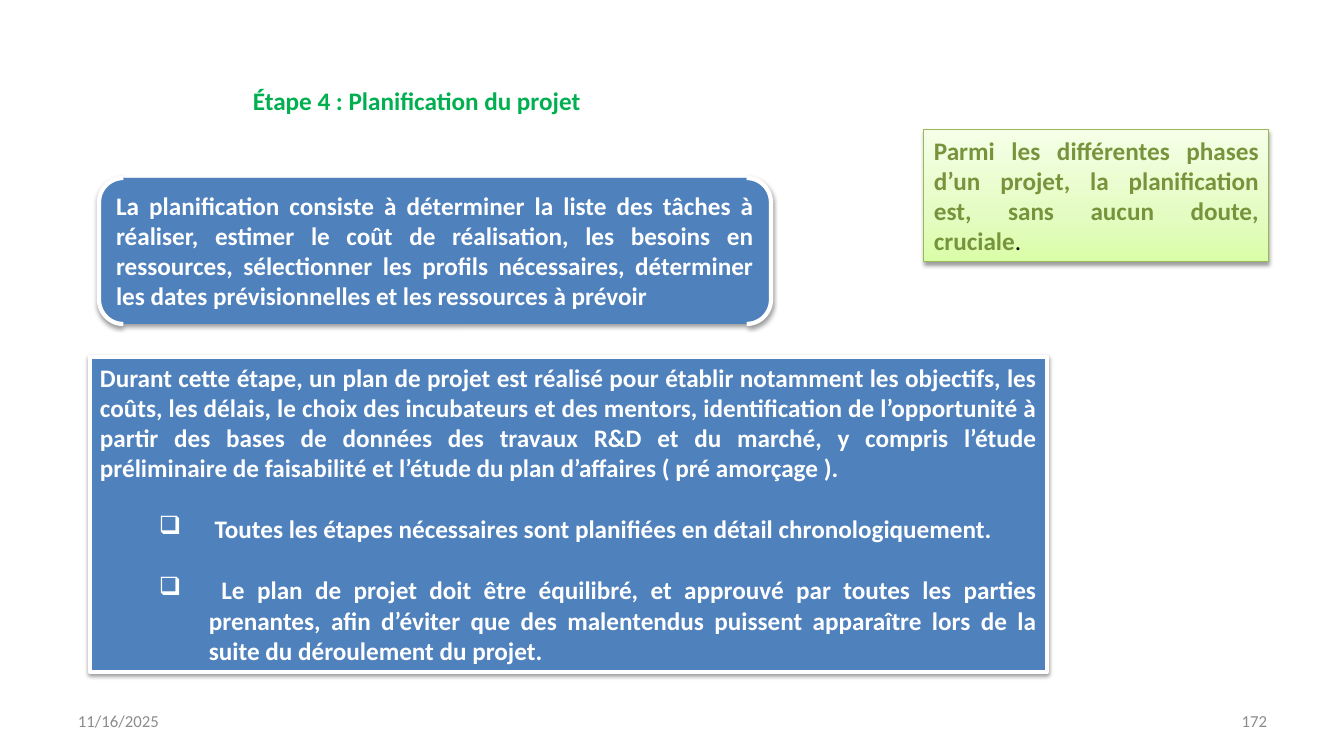
import copy

import pptx
import pptx.dml.color
import pptx.enum.shapes
import pptx.enum.text
import pptx.oxml
import pptx.oxml.ns
import pptx.util

ALIGN = pptx.enum.text.PP_ALIGN
ANCHOR = pptx.enum.text.MSO_ANCHOR
SHAPE = pptx.enum.shapes.MSO_SHAPE

COLORS = {
    "white": "FFFFFF", "black": "000000", "title": "00B050", "blue": "4F81BD",
    "olive": "77933C", "green_line": "98B955", "gray": "8C8C8C",
}
GREEN_STOPS = [(0, "DAFDA7"), (0.35, "E4FCC2"), (1, "F5FFE7")]
SLIDE_SIZE = (1344, 756)
EMU_PER_PX = 914400 / 100.8
FONT = "Calibri"
BULLET = "❑"
BULLET_MARGIN, BULLET_INDENT = 109, -50
BULLET_GAP = 22  # points

TITLE = "Étape 4 : Planification du projet"
DEFINITION = (
    "La planification consiste à déterminer la liste des tâches à réaliser, estimer le coût "
    "de réalisation, les besoins en ressources, sélectionner les profils nécessaires, "
    "déterminer les dates prévisionnelles et les ressources à prévoir"
)
REMARK = ("Parmi les différentes phases d’un projet, la planification est, "
          "sans aucun doute, cruciale")
PLAN_INTRO = (
    "Durant cette étape, un plan de projet est réalisé pour établir notamment les objectifs, "
    "les coûts, les délais, le choix des incubateurs et des mentors, identification de "
    "l’opportunité à partir des bases de données des travaux R&D et du marché, y compris "
    "l’étude préliminaire de faisabilité et l’étude du plan d’affaires ( pré amorçage )."
)
PLAN_POINTS = [
    " Toutes les étapes nécessaires sont planifiées en détail chronologiquement.",
    " Le plan de projet doit être équilibré, et approuvé par toutes les parties prenantes, "
    "afin d’éviter que des malentendus puissent apparaître lors de la suite du déroulement "
    "du projet.",
]
# text, left, alignment
FOOTERS = [("11/16/2025", 68, ALIGN.LEFT), ("172", 964, ALIGN.RIGHT)]
FOOTER_TOP, FOOTER_WIDTH, FOOTER_HEIGHT = 701, 313, 40


def px(length):
    return pptx.util.Emu(round(length * EMU_PER_PX))


def rgb(value):
    return pptx.dml.color.RGBColor.from_string(value)


def style_font(font, color, size=18, bold=True):
    font.name = FONT
    font.size = pptx.util.Pt(size)
    font.bold = bold
    font.color.rgb = rgb(COLORS[color])


def write(paragraph, text, color, align=ALIGN.JUSTIFY, size=18, bold=True):
    paragraph.text = text
    paragraph.alignment = align
    style_font(paragraph.runs[0].font, color, size, bold)


def add_text(page, text, place, color, align, size, bold, wrap, anchor):
    box = page.shapes.add_textbox(*map(px, place))
    box.text_frame.word_wrap = wrap
    box.text_frame.vertical_anchor = anchor
    write(box.text_frame.paragraphs[0], text, color, align, size, bold)


def add_panel(page, kind, place, line_color, line_width):
    """Add a filled panel with a soft shadow below it and top-anchored text."""
    panel = page.shapes.add_shape(kind, *map(px, place))
    panel.fill.solid()
    panel.fill.fore_color.rgb = rgb(COLORS["blue"])
    panel.line.color.rgb = rgb(COLORS[line_color])
    panel.line.width = pptx.util.Pt(line_width)
    panel.shadow.inherit = False
    effects = panel._element.spPr.find(pptx.oxml.ns.qn("a:effectLst"))
    effects.append(pptx.oxml.parse_xml(
        f'<a:outerShdw {pptx.oxml.ns.nsdecls("a")} blurRad="40000" dist="20000" '
        f'dir="5400000" rotWithShape="0"><a:srgbClr val="{COLORS["black"]}">'
        '<a:alpha val="38000"/></a:srgbClr></a:outerShdw>'))
    panel.text_frame.word_wrap = True
    panel.text_frame.vertical_anchor = ANCHOR.TOP
    return panel


def fill_gradient(shape, stops):
    shape.fill.gradient()
    shape.fill.gradient_angle = 90
    stop_list = shape._element.spPr.find(".//" + pptx.oxml.ns.qn("a:gsLst"))
    while len(stop_list) < len(stops):
        stop_list.append(copy.deepcopy(stop_list[-1]))
    for stop, (position, color) in zip(shape.fill.gradient_stops, stops):
        stop.position = position
        stop.color.rgb = rgb(color)


def add_bullet(paragraph):
    properties = paragraph._p.get_or_add_pPr()
    properties.set("marL", str(px(BULLET_MARGIN)))
    properties.set("indent", str(px(BULLET_INDENT)))
    properties.append(pptx.oxml.parse_xml(
        f'<a:buChar {pptx.oxml.ns.nsdecls("a")} char="{BULLET}"/>'))
    paragraph.space_before = pptx.util.Pt(BULLET_GAP)


def main():
    deck = pptx.Presentation()
    deck.slide_width, deck.slide_height = map(px, SLIDE_SIZE)
    page = deck.slides.add_slide(deck.slide_layouts[6])

    add_text(page, TITLE, (243, 80, 352, 40), "title", ALIGN.LEFT, 18, True, False, ANCHOR.TOP)

    definition = add_panel(page, SHAPE.DOUBLE_BRACKET, (99, 178, 672, 146), "white", 3)
    write(definition.text_frame.paragraphs[0], DEFINITION, "white")

    remark = add_panel(page, SHAPE.RECTANGLE, (924, 130, 345, 132), "green_line", 0.75)
    fill_gradient(remark, GREEN_STOPS)
    sentence = remark.text_frame.paragraphs[0]
    write(sentence, REMARK, "olive")
    full_stop = sentence.add_run()
    full_stop.text = "."
    style_font(full_stop.font, "black", bold=False)

    plan = add_panel(page, SHAPE.RECTANGLE, (90, 357, 957, 315), "white", 3)
    write(plan.text_frame.paragraphs[0], PLAN_INTRO, "white")
    for point in PLAN_POINTS:
        paragraph = plan.text_frame.add_paragraph()
        add_bullet(paragraph)
        write(paragraph, point, "white")

    for text, left, align in FOOTERS:
        add_text(page, text, (left, FOOTER_TOP, FOOTER_WIDTH, FOOTER_HEIGHT), "gray",
                 align, 12, False, True, ANCHOR.MIDDLE)

    deck.save("out.pptx")


if __name__ == "__main__":
    main()
